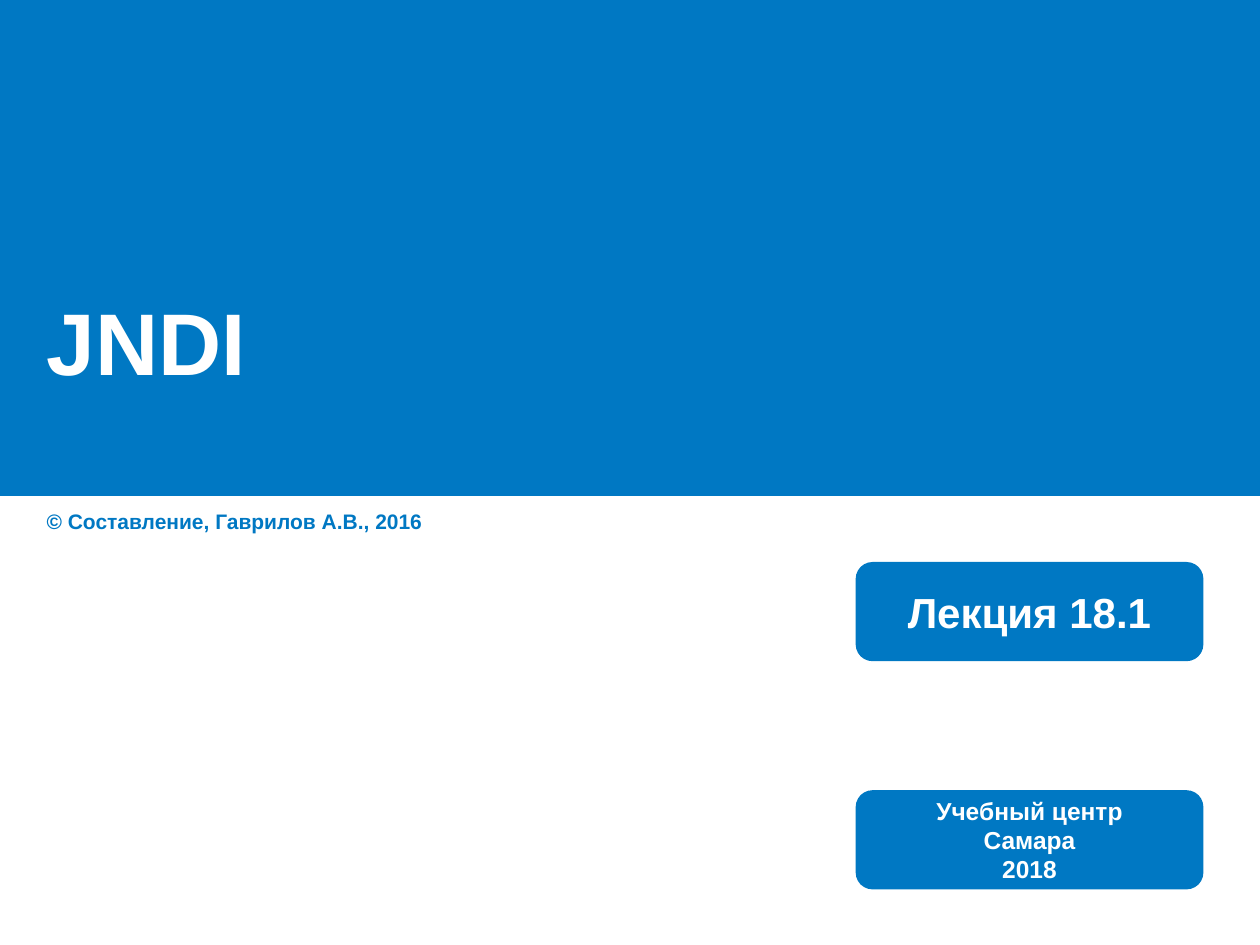
import pptx
import pptx.dml.color
import pptx.enum.shapes
import pptx.enum.text
import pptx.util

Cm = pptx.util.Cm
Shape = pptx.enum.shapes.MSO_SHAPE
Align = pptx.enum.text.PP_ALIGN
Anchor = pptx.enum.text.MSO_ANCHOR

BLUE = pptx.dml.color.RGBColor(0x00, 0x78, 0xC3)
WHITE = pptx.dml.color.RGBColor(0xFF, 0xFF, 0xFF)
FONT = "Arial"
LEFT = Cm(0.69)


def write_text(shape, text, size, color=WHITE, align=Align.LEFT,
               anchor=Anchor.MIDDLE, wrap=True):
    """Fill a shape with bold text, one paragraph per line."""
    frame = shape.text_frame
    frame.word_wrap = wrap
    frame.vertical_anchor = anchor
    frame.text = text
    for para in frame.paragraphs:
        para.alignment = align
        for span in para.runs:
            span.font.name = FONT
            span.font.size = pptx.util.Pt(size)
            span.font.bold = True
            span.font.color.rgb = color


def add_panel(page, kind, left, top, width, height):
    """Add a plain blue shape without outline or shadow."""
    panel = page.shapes.add_shape(kind, left, top, width, height)
    panel.shadow.inherit = False
    panel.fill.solid()
    panel.fill.fore_color.rgb = BLUE
    panel.line.fill.background()
    return panel


def add_badge(page, top, text, size):
    """Add a rounded label in the right-hand column."""
    badge = add_panel(page, Shape.ROUNDED_RECTANGLE,
                      Cm(17.25), top, Cm(7.01), Cm(2))
    badge.adjustments[0] = 0.17
    write_text(badge, text, size, align=Align.CENTER, wrap=False)


def place_title(page, text, band):
    """Position the title and bring it in front of the band."""
    title = page.shapes.title
    title.left, title.top = LEFT, Cm(3.78)
    title.width, title.height = Cm(24), Cm(6.15)
    write_text(title, text, 50)
    band.element.addnext(title.element)


def add_credit(page, text):
    """Add the author line below the band."""
    box = page.shapes.add_textbox(LEFT, Cm(10.13), Cm(12.4), Cm(0.76))
    write_text(box, text, 12, color=BLUE, anchor=Anchor.TOP)


def main():
    deck = pptx.Presentation()
    deck.slide_width, deck.slide_height = Cm(25.4), Cm(19.05)
    page = deck.slides.add_slide(deck.slide_layouts.get_by_name("Title Only"))

    # Top band with the title
    band = add_panel(page, Shape.RECTANGLE, 0, 0, deck.slide_width, Cm(10))
    place_title(page, "JNDI", band)

    # Author, lecture number and place
    add_credit(page, "© Составление, Гаврилов А.В., 2016")
    add_badge(page, Cm(11.33), "Лекция 18.1", 24)
    add_badge(page, Cm(15.93), "Учебный центр\nСамара\n2018", 14)

    deck.save("out.pptx")


if __name__ == "__main__":
    main()
